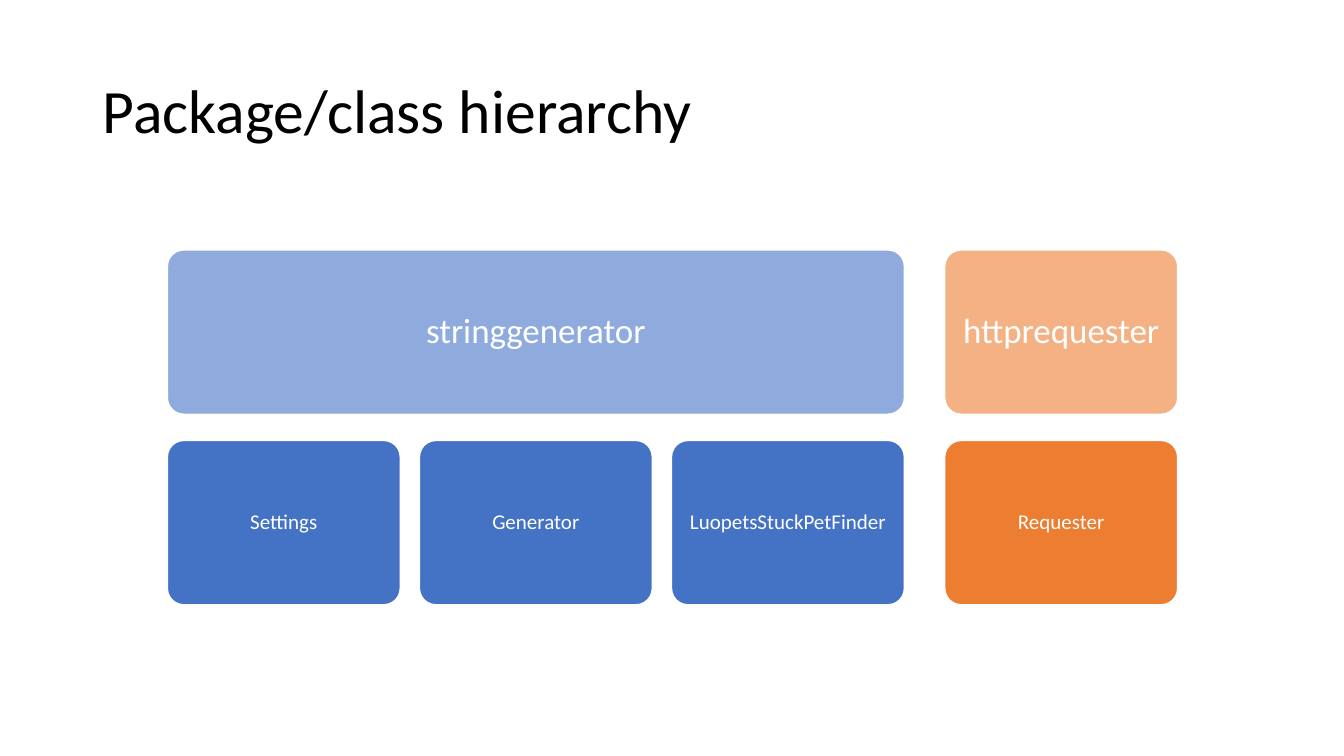
import pptx
import pptx.util
import pptx.dml.color
import pptx.enum.shapes
import pptx.enum.text

Inches = pptx.util.Inches
RGBColor = pptx.dml.color.RGBColor
ALIGN = pptx.enum.text.PP_ALIGN
MIDDLE = pptx.enum.text.MSO_ANCHOR.MIDDLE

BLACK = RGBColor(0x00, 0x00, 0x00)
WHITE = RGBColor(0xFF, 0xFF, 0xFF)
LIGHT_BLUE = RGBColor(0x8F, 0xAA, 0xDC)
BLUE = RGBColor(0x44, 0x72, 0xC4)
LIGHT_ORANGE = RGBColor(0xF4, 0xB1, 0x83)
ORANGE = RGBColor(0xED, 0x7D, 0x31)

LEFT = 1.66
PACKAGE_TOP, CLASS_TOP = 2.48, 4.37
BOX_W, BOX_H = 2.31, 1.63
CLASS_GAP, PACKAGE_GAP = 0.19, 0.4

HIERARCHY = [
    ("stringgenerator", LIGHT_BLUE, BLUE,
     ["Settings", "Generator", "LuopetsStuckPetFinder"]),
    ("httprequester", LIGHT_ORANGE, ORANGE, ["Requester"]),
]


class SlideBuilder:
    font = "Calibri"

    def __init__(self, prs):
        self.slide = prs.slides.add_slide(prs.slide_layouts[5])

    def text(self, sp, text, size, color, align, inset_x, inset_y):
        tf = sp.text_frame
        frame = {
            "word_wrap": True, "vertical_anchor": MIDDLE,
            "auto_size": pptx.enum.text.MSO_AUTO_SIZE.NONE,
            "margin_left": Inches(inset_x), "margin_right": Inches(inset_x),
            "margin_top": Inches(inset_y), "margin_bottom": Inches(inset_y),
        }
        for name, value in frame.items():
            setattr(tf, name, value)
        p = tf.paragraphs[0]
        p.alignment = align
        p.line_spacing = 0.9
        r = p.add_run()
        r.text = text
        for name, value in {"name": self.font, "size": pptx.util.Pt(size)}.items():
            setattr(r.font, name, value)
        r.font.color.rgb = color

    def title(self, text, left, top, width, height):
        sp = self.slide.shapes.title
        place = {"left": left, "top": top, "width": width, "height": height}
        for name, value in place.items():
            setattr(sp, name, Inches(value))
        self.text(sp, text, 44, BLACK, ALIGN.LEFT, 0.1, 0.05)

    def box(self, text, left, top, width, fill, size, inset):
        sp = self.slide.shapes.add_shape(
            pptx.enum.shapes.MSO_SHAPE.ROUNDED_RECTANGLE,
            Inches(left), Inches(top), Inches(width), Inches(BOX_H))
        sp.adjustments[0] = 0.1
        sp.shadow.inherit = False
        sp.fill.solid()
        sp.fill.fore_color.rgb = fill
        sp.line.color.rgb = WHITE
        sp.line.width = pptx.util.Pt(1)
        self.text(sp, text, size, WHITE, ALIGN.CENTER, inset, inset)


def main():
    prs = pptx.Presentation()
    prs.slide_width = Inches(13.33)
    prs.slide_height = Inches(7.5)
    s = SlideBuilder(prs)
    s.title("Package/class hierarchy", 0.92, 0.4, 11.5, 1.45)

    left = LEFT
    for package, package_fill, class_fill, classes in HIERARCHY:
        width = len(classes) * (BOX_W + CLASS_GAP) - CLASS_GAP
        s.box(package, left, PACKAGE_TOP, width, package_fill, 25, 0.1)
        for i, name in enumerate(classes):
            s.box(name, left + i * (BOX_W + CLASS_GAP), CLASS_TOP, BOX_W,
                  class_fill, 15, 0.06)
        left += width + PACKAGE_GAP

    prs.save("out.pptx")


if __name__ == "__main__":
    main()
